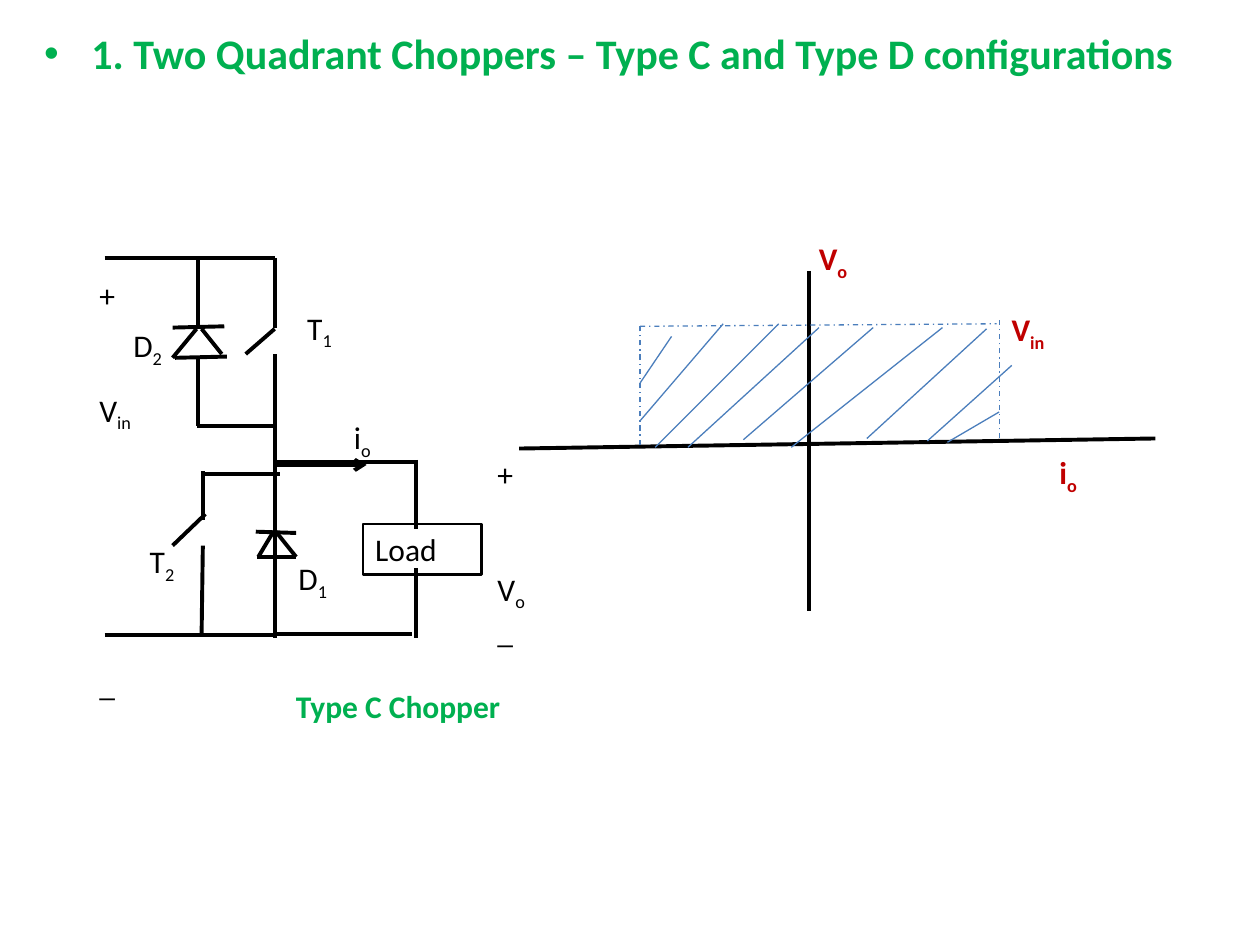
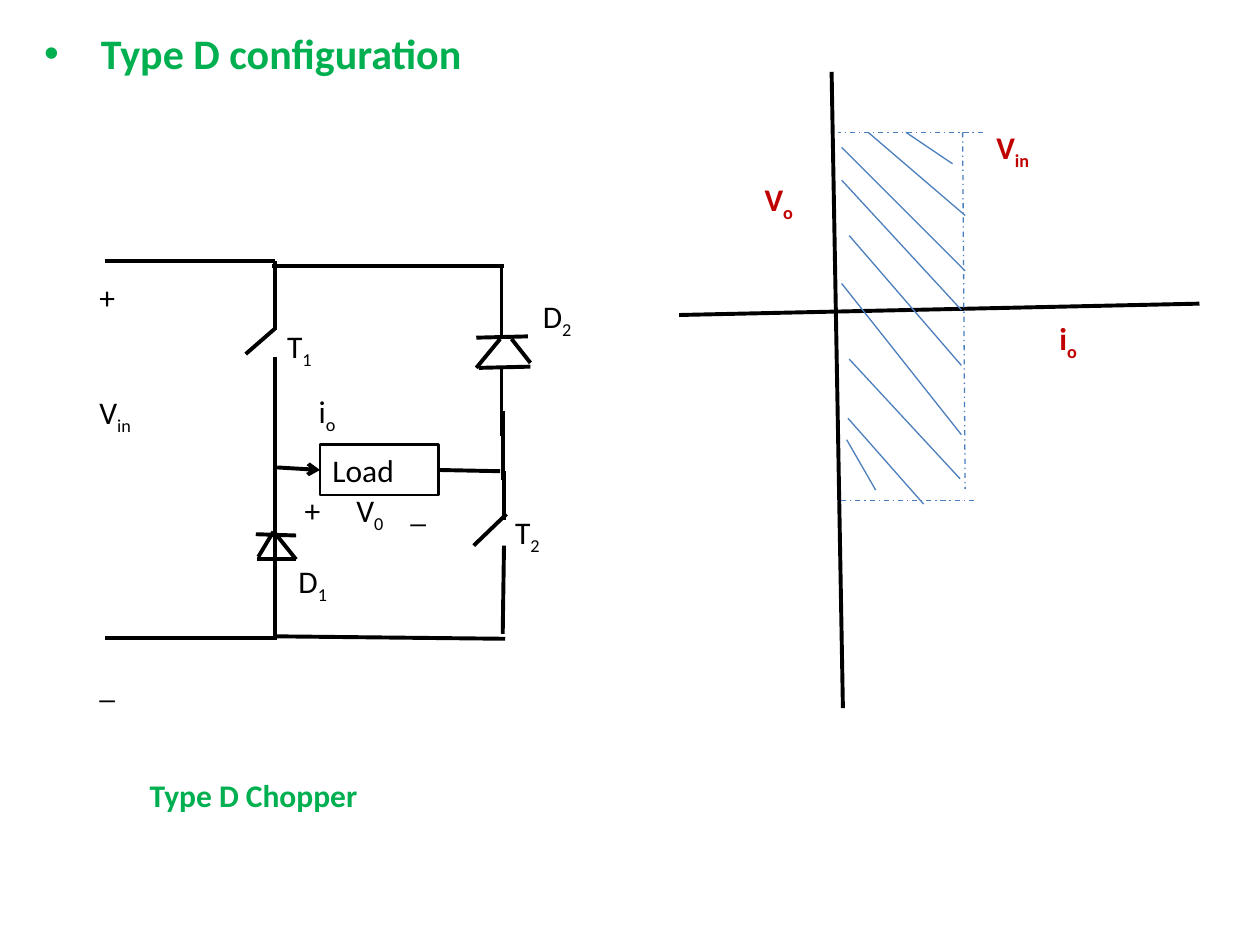
from dataclasses import dataclass

from lxml import etree
from pptx import Presentation
from pptx import util as u
from pptx.dml.color import RGBColor
from pptx.enum import dml, shapes, text
from pptx.oxml import ns

PX = 9144  # EMU per px, 100 px to the inch


@dataclass(frozen=True)
class Theme:
    font: str = "Calibri"
    black: RGBColor = RGBColor(0x00, 0x00, 0x00)
    green: RGBColor = RGBColor(0x00, 0xB0, 0x50)
    red: RGBColor = RGBColor(0xC0, 0x00, 0x00)
    blue: RGBColor = RGBColor(0x4B, 0x7E, 0xBC)
    heading: u.Pt = u.Pt(24)
    label: u.Pt = u.Pt(18)
    text_line: int = 22  # points taken by one line of label text
    wire: u.Pt = u.Pt(2.25)
    box: u.Pt = u.Pt(1.5)
    hatch: u.Pt = u.Pt(0.75)


T = Theme()


def line(s, ends, color=T.black, width=T.wire, dash=None, arrow=False):
    c = s.shapes.add_connector(shapes.MSO_CONNECTOR.STRAIGHT, *[v * PX for v in ends])
    c.line.color.rgb = color
    c.line.width = width
    if dash:
        c.line.dash_style = dash
    if arrow:
        etree.SubElement(c.line._get_or_add_ln(), ns.qn("a:tailEnd"), type="arrow")
    etree.SubElement(c._element.spPr, ns.qn("a:effectLst"))
    return c


def label(s, x, y, rows, color=T.black, bold=False, w=54, h=40):
    """Each row is (base, subscript, lines of space before)."""
    tf = s.shapes.add_textbox(x * PX, y * PX, w * PX, h * PX).text_frame
    tf.word_wrap = True
    for i, (base, sub, gap) in enumerate(rows):
        p = tf.paragraphs[0] if i == 0 else tf.add_paragraph()
        p.text = base
        p.space_before = u.Pt(gap * T.text_line)
        if sub:
            r = p.add_run()
            r.text = sub
            r._r.get_or_add_rPr().set("baseline", "-25000")
        for r in p.runs:
            r.font.name, r.font.size = T.font, T.label
            r.font.bold, r.font.color.rgb = bold, color


# Circuit parts, as line ends (x1, y1, x2, y2)
INPUT_LEG = [  # input rails, T1 leg and D1
    (218, 205, 218, 260), (83, 205, 218, 205), (218, 281, 218, 422),
    (203, 422, 235, 423), (218, 395, 218, 506), (219, 422, 235, 442),
    (204, 442, 235, 442), (83, 504, 220, 504),
]
LEG_STROKES = [(218, 261, 195, 281), (217, 422, 205, 442)]  # T1 blade, side of D1
SWITCH_T2 = [(0, 0, 0, 39), (0, 59, -1, 129), (2, 34, -24, 59)]
DIODE_D2 = [
    (0, 79, 0, 133), (0, 0, 0, 55), (21, 54, -20, 55),
    (-1, 56, -20, 79), (23, 78, -18, 79),
]

slides = [
    dict(
        heading="1. Two Quadrant Choppers – Type C and Type D configurations",
        caption=("Type C Chopper", 225, 540),
        leg_shift=0, t2=(161, 374), d2=(157, 205),
        wires=[
            (217, 503, 327, 503), (220, 367, 330, 367), (330, 365, 330, 420),
            (330, 451, 330, 506), (156, 338, 218, 338), (160, 376, 222, 376),
            (160, 261, 176, 281),
        ],
        load=(288, 416), load_leads=[], arrow=(220, 369, 291, 369),
        labels=[
            (234, 240, "T", "1"), (227, 439, "D", "1"), (109, 425, "T", "2"),
            (96, 254, "D", "2"), (271, 327, "i", "o"),
        ],
        output=(385, 356),
        graph_labels=[(640, 185, "V", "o"), (831, 355, "i", "o"), (793, 241, "V", "in")],
        axes=[(642, 215, 642, 485), (917, 348, 412, 356)],
        limits=[(508, 259, 791, 257), (508, 353, 508, 259), (793, 348, 793, 254)],
        hatch=[
            (508, 334, 574, 257), (520, 355, 618, 257), (546, 355, 650, 260),
            (628, 355, 748, 260), (590, 349, 693, 260), (688, 348, 783, 261),
            (736, 350, 803, 290), (752, 351, 793, 327), (508, 304, 533, 267),
        ],
    ),
    dict(
        heading=" Type D configuration",
        caption=("Type D Chopper", 109, 611),
        leg_shift=2, t2=(400, 374), d2=(398, 213),
        wires=[
            (217, 505, 401, 507), (399, 326, 399, 381), (216, 211, 400, 211),
            (406, 269, 421, 288),
        ],
        load=(254, 353),
        load_leads=[(220, 371, 254, 373, 1, True), (397, 374, 348, 373, 3, False)],
        arrow=None,
        labels=[
            (218, 255, "T", "1"), (227, 441, "D", "1"), (399, 402, "T", "2"),
            (421, 231, "D", "2"), (243, 306, "i", "o"),
            (232, 385, "+", ""), (273, 385, "V", "0"), (316, 385, "_", ""),
        ],
        output=None,
        graph_labels=[(597, 138, "V", "o"), (831, 248, "i", "o"), (781, 97, "V", "in")],
        axes=[(539, 250, 952, 241), (669, 562, 660, 57)],
        limits=[(773, 397, 664, 397), (764, 105, 766, 388), (780, 105, 665, 105)],
        hatch=[
            (689, 105, 766, 171), (668, 117, 766, 215), (668, 143, 763, 246),
            (668, 225, 763, 345), (674, 187, 763, 290), (674, 285, 762, 380),
            (673, 332, 733, 400), (672, 349, 695, 389), (719, 105, 756, 130),
        ],
    ),
]

prs = Presentation()
prs.slide_width, prs.slide_height = 1000 * PX, 750 * PX

for d in slides:
    s = prs.slides.add_slide(prs.slide_layouts[1])

    # Heading in the body placeholder
    title = s.shapes.title
    title._element.getparent().remove(title._element)
    sp = s.placeholders[1]
    sp.left, sp.top, sp.width, sp.height = [v * PX for v in (25, 17, 958, 708)]
    sp.text_frame.text = d["heading"]
    f = sp.text_frame.paragraphs[0].runs[0].font
    f.name, f.size, f.bold, f.color.rgb = T.font, T.heading, True, T.green

    # Circuit wires
    dy = d["leg_shift"]
    for x1, y1, x2, y2 in INPUT_LEG:
        line(s, (x1, y1 + dy, x2, y2 + dy))
    for ends in LEG_STROKES + d["wires"]:
        line(s, ends)
    for part, (x, y) in ((SWITCH_T2, d["t2"]), (DIODE_D2, d["d2"])):
        for x1, y1, x2, y2 in part:
            line(s, (x + x1, y + y1, x + x2, y + y2))

    # Load and its leads
    x, y = d["load"]
    load = s.shapes.add_shape(shapes.MSO_SHAPE.RECTANGLE, x * PX, y * PX, 94 * PX, 40 * PX)
    load.shadow.inherit = False
    load.fill.background()
    load.line.color.rgb, load.line.width = T.black, T.box
    tf = load.text_frame
    tf.text = "Load"
    tf.vertical_anchor = text.MSO_ANCHOR.TOP
    p = tf.paragraphs[0]
    p.alignment = text.PP_ALIGN.LEFT
    f = p.runs[0].font
    f.name, f.size, f.color.rgb = T.font, T.label, T.black
    for *ends, side, arrow in d["load_leads"]:
        line(s, ends, arrow=arrow).end_connect(load, side)
    if d["arrow"]:
        line(s, d["arrow"], arrow=True)

    # Circuit labels
    for x, y, base, sub in d["labels"]:
        label(s, x, y, [(base, sub, 0)])
    label(s, 69, 214 + dy, [("+", "", 0), ("V", "in", 2), ("_", "", 6)], h=283)
    if d["output"]:
        label(s, *d["output"], [("+", "", 0), ("V", "o", 2), ("_", "", 0)], h=162)

    # Quadrant graph
    for ends in d["axes"]:
        line(s, ends)
    for ends in d["limits"]:
        line(s, ends, T.blue, T.hatch, dml.MSO_LINE.DASH_DOT)
    for ends in d["hatch"]:
        line(s, ends, T.blue, T.hatch)
    for x, y, base, sub in d["graph_labels"]:
        label(s, x, y, [(base, sub, 0)], T.red, True)

    # Caption
    caption, x, y = d["caption"]
    label(s, x, y, [(caption, "", 0)], T.green, True, w=260)

prs.save("out.pptx")
